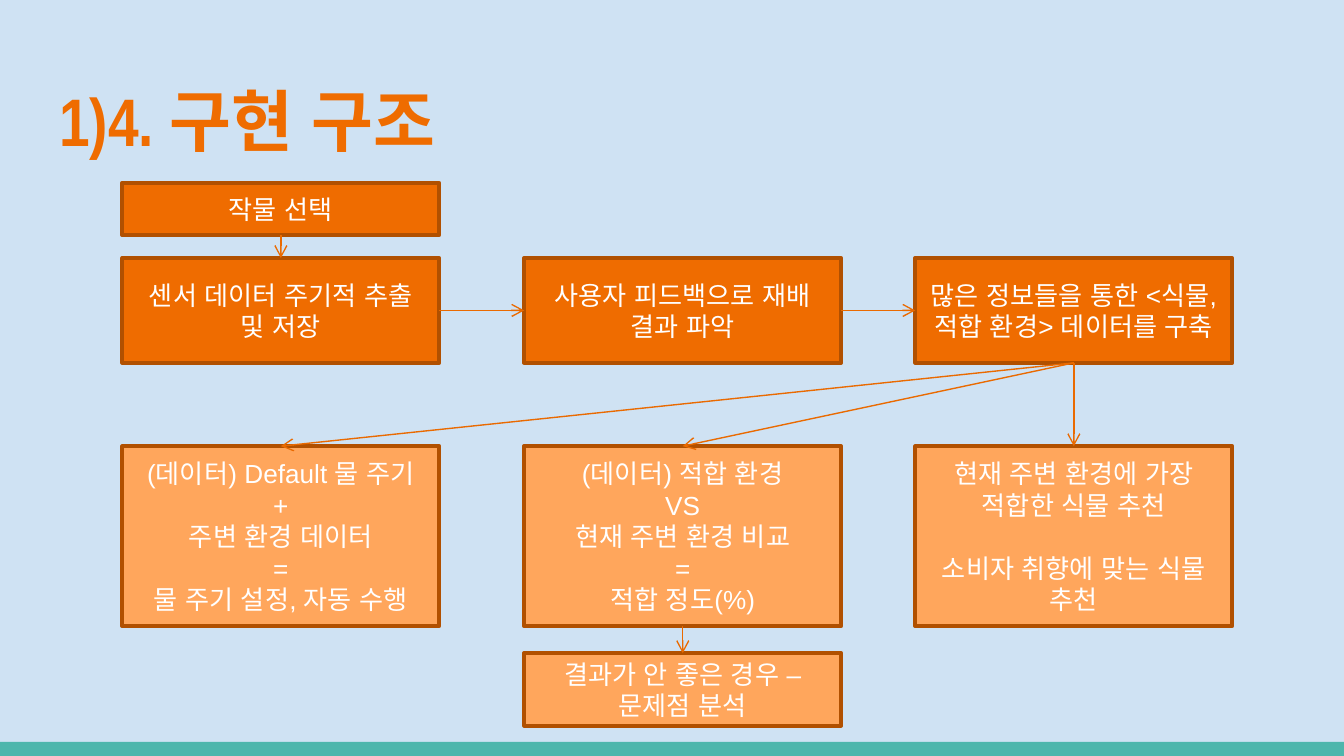
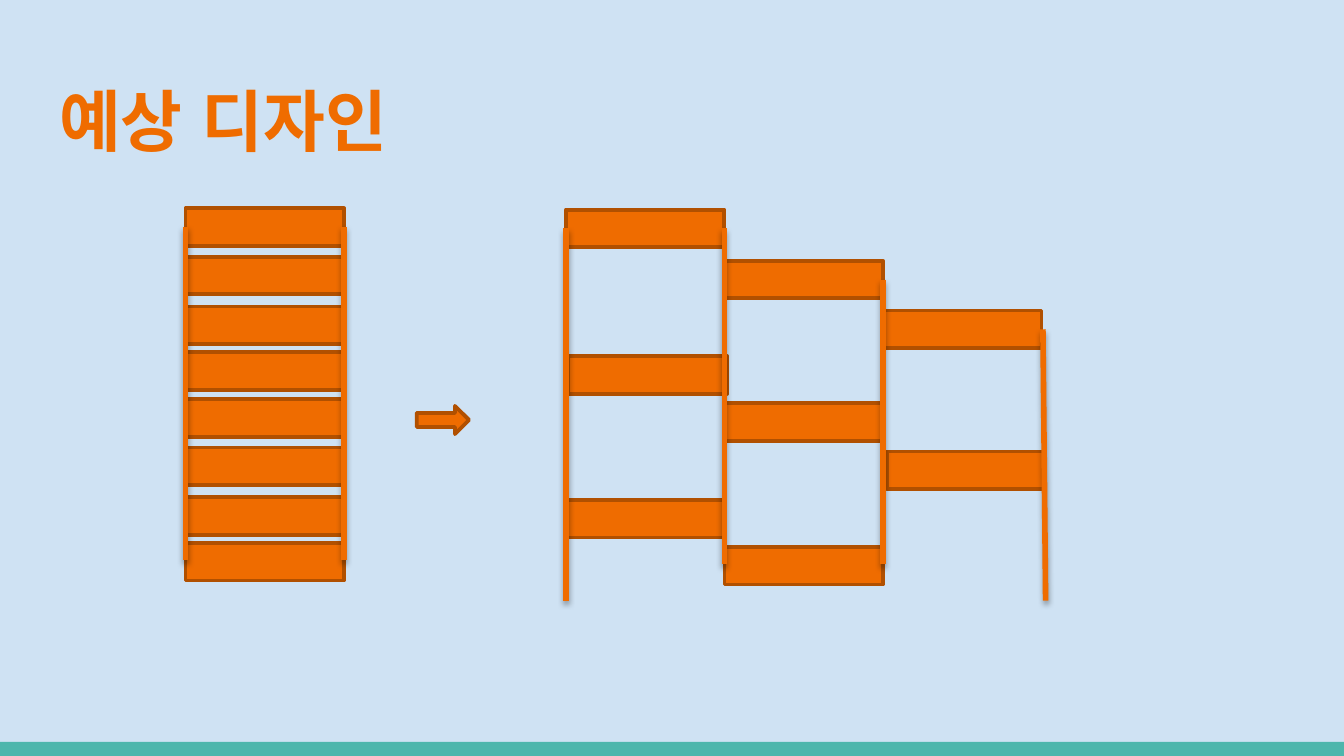
from dataclasses import dataclass

from lxml.etree import SubElement
from pptx import Presentation
from pptx.dml.color import RGBColor
from pptx.enum.lang import MSO_LANGUAGE_ID as Language
from pptx.enum.shapes import MSO_CONNECTOR as Link, MSO_SHAPE as Preset
from pptx.enum.text import MSO_ANCHOR as Anchor, PP_ALIGN as Align
from pptx.oxml.ns import qn
from pptx.shapes.autoshape import Shape
from pptx.shapes.connector import Connector
from pptx.slide import Slide
from pptx.util import Inches, Pt

SKY, TEAL, WHITE = "CFE2F3", "4DB6AC", "FFFFFF"
ORANGE, PEACH, RUST, ARROW = "EF6C00", "FFA65C", "B15000", "EA6A00"
TITLE_FONT, BODY_FONT = "Arial Narrow", "Arial"
TOP, LEFT, BOTTOM, RIGHT = range(4)

STEP_WIDTH = 2.36
COLUMNS = (0.91, 3.9, 6.81)
BOARD_WIDTH, BOARD_HEIGHT = 1.18, 0.28


@dataclass(frozen=True)
class Step:
    key: str
    column: int
    top: float
    height: float
    fill: str
    lines: tuple[str, ...]
    gap: float = 0


@dataclass(frozen=True)
class Flow:
    source: str
    side: int
    target: str
    entry: int


@dataclass(frozen=True)
class Board:
    left: float
    top: float


@dataclass(frozen=True)
class Rail:
    x1: float
    y1: float
    x2: float
    y2: float


STEPS = (
    Step("crop", 0, 1.36, 0.39, ORANGE, ("작물 선택",)),
    Step("sensor", 0, 1.92, 0.78, ORANGE, ("센서 데이터 주기적 추출 및 저장",)),
    Step("feedback", 1, 1.92, 0.78, ORANGE, ("사용자 피드백으로 재배 결과 파악",)),
    Step("database", 2, 1.92, 0.78, ORANGE,
         ("많은 정보들을 통한 <식물, 적합 환경> 데이터를 구축",)),
    Step("watering", 0, 3.32, 1.34, PEACH,
         ("(데이터) Default 물 주기", "+", "주변 환경 데이터", "=", "물 주기 설정, 자동 수행")),
    Step("comparison", 1, 3.32, 1.34, PEACH,
         ("(데이터) 적합 환경", "VS", "현재 주변 환경 비교", "=", "적합 정도(%)")),
    Step("recommendation", 2, 3.32, 1.34, PEACH,
         ("현재 주변 환경에 가장 적합한 식물 추천", "소비자 취향에 맞는 식물 추천"), 16.8),
    Step("analysis", 1, 4.86, 0.54, PEACH, ("결과가 안 좋은 경우 – 문제점 분석",)),
)

FLOWS = (
    Flow("database", BOTTOM, "watering", TOP),
    Flow("database", BOTTOM, "comparison", TOP),
    Flow("database", BOTTOM, "recommendation", TOP),
    Flow("comparison", BOTTOM, "analysis", TOP),
    Flow("crop", BOTTOM, "sensor", TOP),
    Flow("sensor", RIGHT, "feedback", LEFT),
    Flow("feedback", RIGHT, "database", LEFT),
)

FOLDED_BOARDS = tuple(
    Board(1.38, top) for top in (1.55, 1.91, 2.28, 2.62, 2.97, 3.33, 3.7, 4.04)
)
FOLDED_RAILS = tuple(Rail(x, 1.69, x, 4.17) for x in (2.56, 1.38))

UNFOLDED_BOARDS = (
    Board(4.21, 1.56), Board(5.39, 1.94), Board(6.57, 2.31),
    Board(4.23, 2.65), Board(5.39, 3), Board(6.6, 3.36),
    Board(4.21, 3.72), Board(5.39, 4.07),
)
UNFOLDED_RAILS = (
    Rail(4.21, 1.7, 4.21, 4.47),
    Rail(7.76, 2.45, 7.78, 4.47),
    Rail(6.57, 2.08, 6.57, 4.2),
    Rail(5.39, 1.7, 5.39, 4.2),
)


def rgb(color: str) -> RGBColor:
    return RGBColor.from_string(color)


def style_run(run, font: str, size: float, color: str, bold: bool = False) -> None:
    run.font.name = font
    run.font.size = Pt(size)
    run.font.bold = bold
    run.font.color.rgb = rgb(color)
    run.font.language_id = Language.KOREAN
    SubElement(run.font._element, qn("a:ea"), typeface=BODY_FONT)


def add_block(slide: Slide, preset: Preset, left: float, top: float,
              width: float, height: float, fill: str, outline: str = "") -> Shape:
    block = slide.shapes.add_shape(
        preset, Inches(left), Inches(top), Inches(width), Inches(height))
    block.shadow.inherit = False
    block.fill.solid()
    block.fill.fore_color.rgb = rgb(fill)
    if outline:
        block.line.color.rgb = rgb(outline)
        block.line.width = Pt(2)
        SubElement(block.element.spPr.find(qn("a:ln")), qn("a:round"))
    else:
        block.line.fill.background()
    return block


def add_line(slide: Slide, rail: Rail, color: str, width: float) -> Connector:
    line = slide.shapes.add_connector(
        Link.STRAIGHT, Inches(rail.x1), Inches(rail.y1), Inches(rail.x2), Inches(rail.y2))
    line.line.color.rgb = rgb(color)
    line.line.width = Pt(width)
    SubElement(line.element.spPr, qn("a:effectLst"))
    return line


def add_step(slide: Slide, step: Step) -> Shape:
    box = add_block(slide, Preset.RECTANGLE, COLUMNS[step.column], step.top,
                    STEP_WIDTH, step.height, step.fill, RUST)
    frame = box.text_frame
    frame.word_wrap = True
    frame.vertical_anchor = Anchor.MIDDLE
    for index, text in enumerate(step.lines):
        paragraph = frame.add_paragraph() if index else frame.paragraphs[0]
        paragraph.alignment = Align.CENTER
        if index and step.gap:
            paragraph.space_before = Pt(step.gap)
        run = paragraph.add_run()
        run.text = text
        style_run(run, BODY_FONT, 14, WHITE)
    return box


def add_flow(slide: Slide, flow: Flow, boxes: dict[str, Shape]) -> None:
    arrow = add_line(slide, Rail(0, 0, 0, 0), ARROW, 0.75)
    arrow.begin_connect(boxes[flow.source], flow.side)
    arrow.end_connect(boxes[flow.target], flow.entry)
    SubElement(arrow.element.spPr.find(qn("a:ln")), qn("a:tailEnd"), type="arrow")


def add_rail(slide: Slide, rail: Rail) -> None:
    line = add_line(slide, rail, ORANGE, 3)
    effects = line.element.spPr.find(qn("a:effectLst"))
    shadow = SubElement(effects, qn("a:outerShdw"), blurRad=str(Pt(3.1)),
                        dist=str(Pt(1.8)), dir="5400000", rotWithShape="0")
    black = SubElement(shadow, qn("a:srgbClr"), val="000000")
    SubElement(black, qn("a:alpha"), val="35000")


def add_shelf(slide: Slide, boards: tuple[Board, ...], rails: tuple[Rail, ...]) -> None:
    for board in boards:
        add_block(slide, Preset.RECTANGLE, board.left, board.top,
                  BOARD_WIDTH, BOARD_HEIGHT, ORANGE, RUST)
    for rail in rails:
        add_rail(slide, rail)


def add_titled_slide(deck, heading: str) -> Slide:
    slide = deck.slides.add_slide(deck.slide_layouts[5])
    title = slide.shapes.title
    title.left, title.top = Inches(0.34), Inches(0.49)
    title.width, title.height = Inches(9.32), Inches(0.77)
    frame = title.text_frame
    frame.margin_left = frame.margin_right = Inches(0.1)
    frame.margin_top = frame.margin_bottom = Inches(0.1)
    frame.vertical_anchor = Anchor.TOP
    frame.word_wrap = True
    paragraph = frame.paragraphs[0]
    paragraph.alignment = Align.LEFT
    run = paragraph.add_run()
    run.text = heading
    style_run(run, TITLE_FONT, 36, ORANGE, bold=True)
    return slide


def dress_master(deck, slide: Slide) -> None:
    master = deck.slide_master
    master.background.fill.solid()
    master.background.fill.fore_color.rgb = rgb(SKY)
    band = add_block(slide, Preset.RECTANGLE, 0, 5.52, 10, 0.11, TEAL)
    master.shapes.element.append(band.element)


def build_structure(deck) -> Slide:
    slide = add_titled_slide(deck, "1)4. 구현 구조")
    boxes = {step.key: add_step(slide, step) for step in STEPS}
    for flow in FLOWS:
        add_flow(slide, flow, boxes)
    return slide


def build_design(deck) -> None:
    slide = add_titled_slide(deck, "예상 디자인")
    add_shelf(slide, FOLDED_BOARDS, FOLDED_RAILS)
    add_shelf(slide, UNFOLDED_BOARDS, UNFOLDED_RAILS)
    add_block(slide, Preset.RIGHT_ARROW, 3.1, 3.02, 0.39, 0.21, ORANGE, RUST)


def main() -> None:
    deck = Presentation()
    deck.slide_width = Inches(10)
    deck.slide_height = deck.slide_width * 9 // 16
    structure = build_structure(deck)
    dress_master(deck, structure)
    build_design(deck)
    deck.save("out.pptx")


if __name__ == "__main__":
    main()
